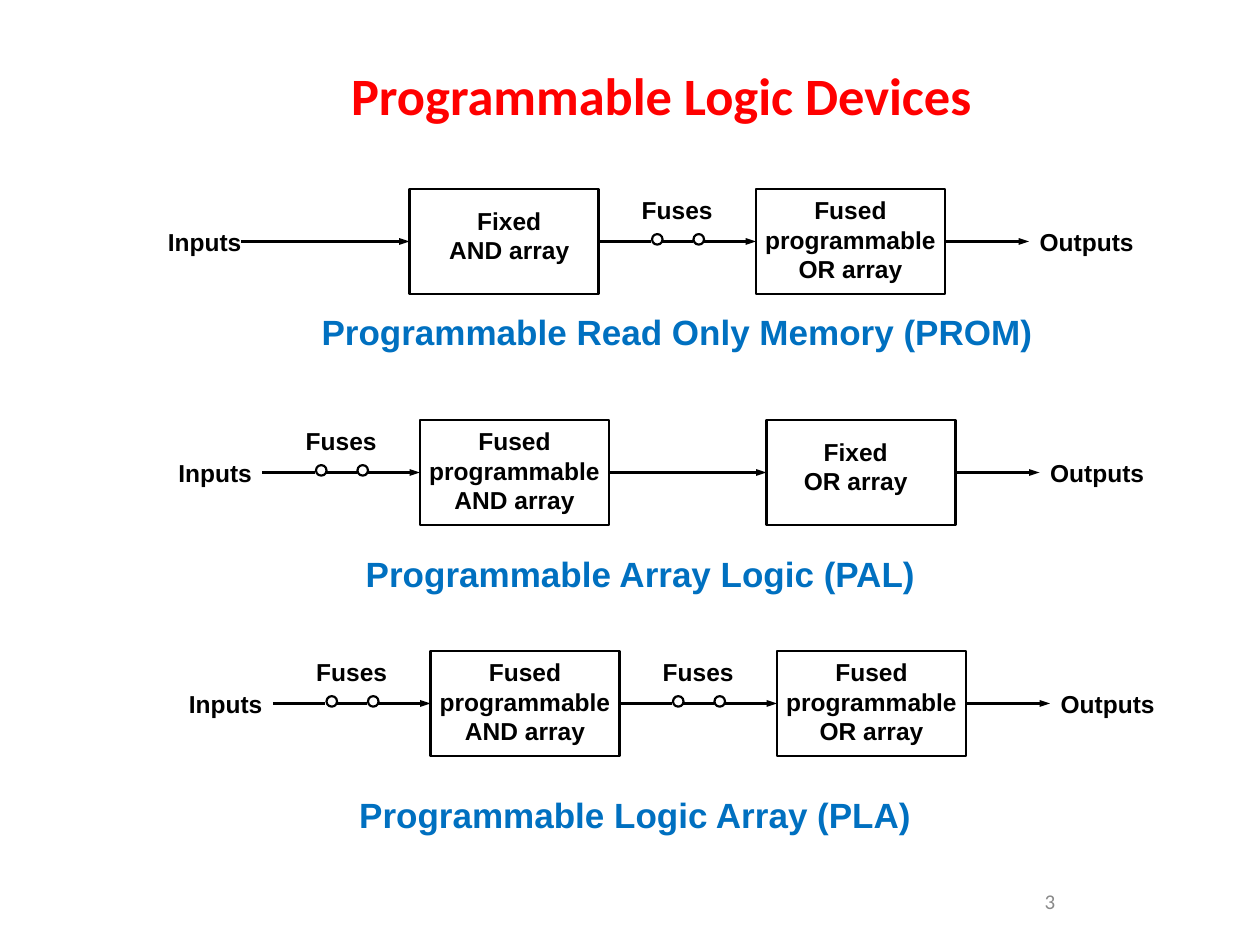
from lxml.etree import SubElement
from pptx import Presentation
from pptx.dml.color import RGBColor
from pptx.enum.shapes import MSO_CONNECTOR as Connector, MSO_SHAPE as Shape
from pptx.enum.text import MSO_ANCHOR as Anchor, PP_ALIGN as Align
from pptx.oxml.ns import qn
from pptx.util import Inches, Pt

BLACK = RGBColor(0x00, 0x00, 0x00)
RED = RGBColor(0xFF, 0x00, 0x00)
BLUE = RGBColor(0x00, 0x70, 0xC0)
GRAY = RGBColor(0x89, 0x89, 0x89)

COLUMNS, ROWS = 120, 90
BLOCK_WIDTH, BLOCK_HEIGHT = 18, 10
FIRST_BLOCK, SECOND_BLOCK = 25, 58
WIRE_ROW = 5
LABEL_HEIGHT = 4

DEVICES = [
    {"at": (14, 18), "fused": (False, True), "input_start": 9, "fixed_shift": 2,
     "caption": "Programmable Read Only Memory (PROM)", "caption_box": (26, 29, 77, 6)},
    {"at": (15, 40), "fused": (True, False), "input_start": 10, "fixed_shift": 1,
     "caption": "Programmable Array Logic (PAL)", "caption_box": (29, 52, 64, 6)},
    {"at": (16, 62), "fused": (True, True), "input_start": 10, "fixed_shift": 0,
     "caption": "Programmable Logic Array (PLA)", "caption_box": (27, 75, 67, 6)},
]


def cells(*counts):
    """Turn counts of grid cells into lengths."""
    return [Inches(count * 10 / COLUMNS) for count in counts]


def add_text(page, box, text, size=14, color=BLACK, font="Arial", bold=True, anchor=Anchor.TOP):
    """Place centred text in a box of grid cells."""
    frame = page.shapes.add_textbox(*cells(*box)).text_frame
    frame.word_wrap = True
    frame.vertical_anchor = anchor
    frame.text = text
    for para in frame.paragraphs:
        para.alignment = Align.CENTER
        para.font.size = Pt(size)
        para.font.name = font
        para.font.bold = bold
        para.font.color.rgb = color


def add_outline(page, kind, box, weight):
    """Draw an unfilled black shape in a box of grid cells."""
    shape = page.shapes.add_shape(kind, *cells(*box))
    shape.shadow.inherit = False
    shape.fill.background()
    shape.line.color.rgb = BLACK
    shape.line.width = Pt(weight)


def add_wire(page, start, end, row, arrow=True):
    """Draw a horizontal wire, with an arrowhead if asked."""
    wire = page.shapes.add_connector(Connector.STRAIGHT, *cells(start, row, end, row))
    wire.line.color.rgb = BLACK
    wire.line.width = Pt(1.25)
    properties = wire.line._get_or_add_ln().getparent()
    SubElement(properties, qn("a:effectLst"))
    if arrow:
        SubElement(properties.find(qn("a:ln")), qn("a:tailEnd"), type="triangle", w="sm", len="med")


def add_fuses(page, end, top):
    """Draw the fused wire that leads into a block."""
    row = top + WIRE_ROW
    for start, stop in ((-15, -10), (-9, -6), (-5, 0)):
        add_wire(page, end + start, end + stop, row, arrow=stop == 0)
    for offset in (-9.9, -5.95):
        add_outline(page, Shape.OVAL, (end + offset, row - 0.7, 1, 1), 1.25)
    add_text(page, (end - 13, top, 11, LABEL_HEIGHT), "Fuses")


def add_block(page, left, top, gate, fused, fixed_shift):
    """Draw an array block with its label."""
    add_outline(page, Shape.RECTANGLE, (left, top, BLOCK_WIDTH, BLOCK_HEIGHT), 1.5)
    if fused:
        add_text(page, (left - 1, top, 20, BLOCK_HEIGHT), f"Fused\nprogrammable\n{gate} array")
    else:
        add_text(page, (left + fixed_shift, top + 1, 15, 7), f"Fixed\n{gate} array")


def add_device(page, device):
    """Draw one device row with its blocks, wires and caption."""
    left, top = device["at"]
    wire_row = top + WIRE_ROW
    label_row = top + 3
    add_text(page, (left, label_row, 11, LABEL_HEIGHT), "Inputs")
    wire_starts = (device["input_start"], FIRST_BLOCK + BLOCK_WIDTH)
    block_starts = (FIRST_BLOCK, SECOND_BLOCK)
    for gate, fused, start, block in zip(("AND", "OR"), device["fused"], wire_starts, block_starts):
        add_block(page, left + block, top, gate, fused, device["fixed_shift"])
        if fused:
            add_fuses(page, left + block, top)
        else:
            add_wire(page, left + start, left + block, wire_row)
    output = left + SECOND_BLOCK + BLOCK_WIDTH
    add_wire(page, output, output + 8, wire_row)
    add_text(page, (output + 7, label_row, 13, LABEL_HEIGHT), "Outputs")
    add_text(page, device["caption_box"], device["caption"], 20, BLUE)


def main():
    """Build and save the slide."""
    deck = Presentation()
    deck.slide_width, deck.slide_height = cells(COLUMNS, ROWS)
    page = deck.slides.add_slide(deck.slide_layouts[6])
    add_text(page, (12, 4, 102, 10), "Programmable Logic Devices", 30, RED, "Calibri",
             anchor=Anchor.MIDDLE)
    for device in DEVICES:
        add_device(page, device)
    add_text(page, (86, 83.4, 28, 4.8), "3", 12, GRAY, "Calibri", False, Anchor.MIDDLE)
    deck.save("out.pptx")


if __name__ == "__main__":
    main()
